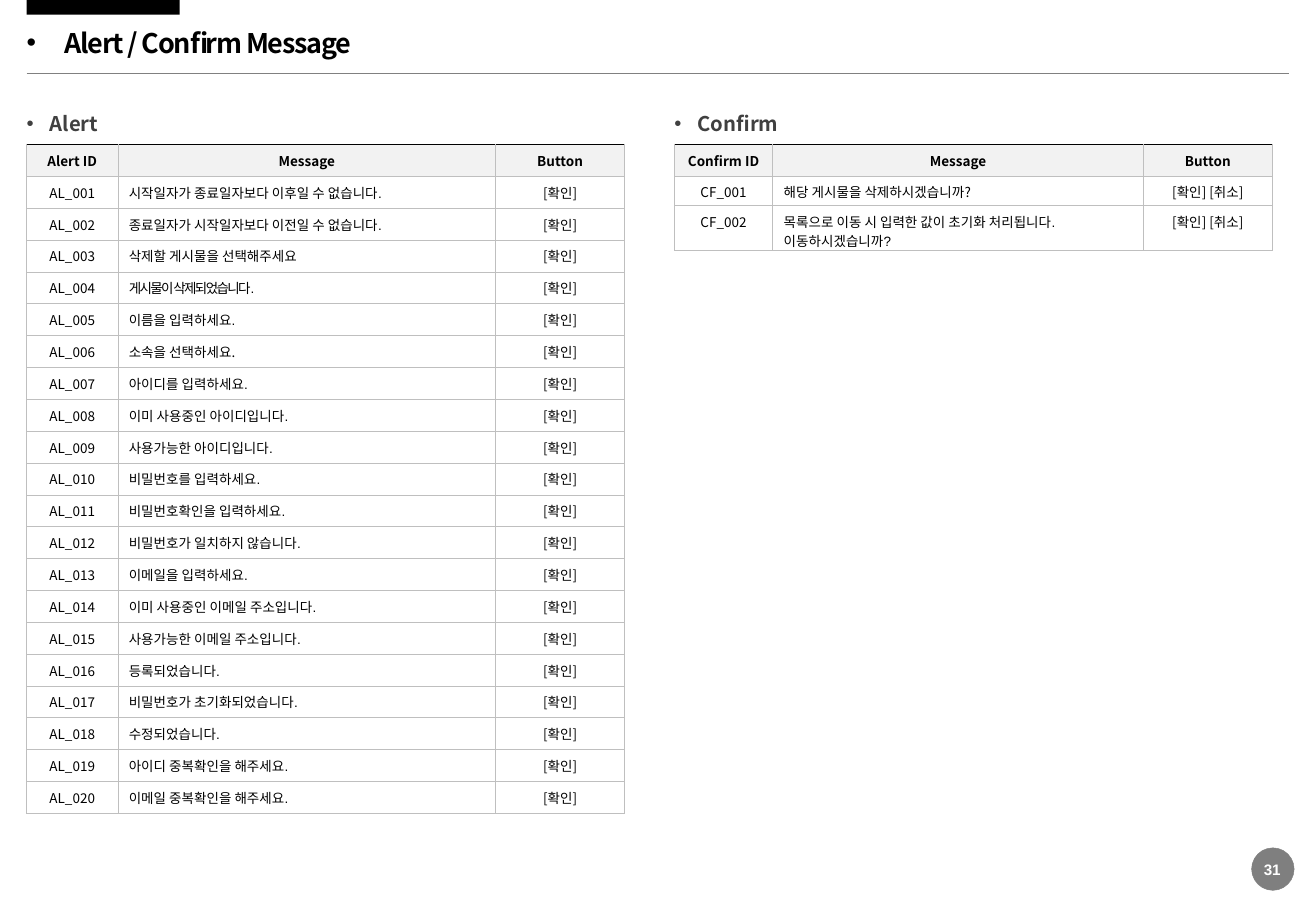
from dataclasses import dataclass

from lxml.etree import SubElement
from pptx import Presentation
from pptx.dml.color import RGBColor
from pptx.enum.shapes import MSO_CONNECTOR as Connector, MSO_SHAPE as Preset
from pptx.enum.text import MSO_ANCHOR as Anchor, MSO_AUTO_SIZE as AutoSize, PP_ALIGN as Align
from pptx.oxml.ns import qn
from pptx.util import Inches, Pt


@dataclass(frozen=True)
class Theme:
    """Colours, fonts and type sizes of the slide."""
    black: str = "000000"
    white: str = "FFFFFF"
    heading: str = "404040"
    rule: str = "808080"
    border: str = "BFBFBF"
    header_fill: str = "F2F2F2"
    font: str = "Noto Sans CJK KR"
    latin: str = "Arial"
    title_size: float = 16
    heading_size: float = 12
    page_size: float = 9
    table_size: float = 8


THEME = Theme()
OK = "[확인]"
OK_CANCEL = "[확인] [취소]"
ALERT_MESSAGES = [
    "시작일자가 종료일자보다 이후일 수 없습니다.",
    "종료일자가 시작일자보다 이전일 수 없습니다.",
    "삭제할 게시물을 선택해주세요",
    "게시물이 삭제되었습니다.",
    "이름을 입력하세요.",
    "소속을 선택하세요.",
    "아이디를 입력하세요.",
    "이미 사용중인 아이디입니다.",
    "사용가능한 아이디입니다.",
    "비밀번호를 입력하세요.",
    "비밀번호확인을 입력하세요.",
    "비밀번호가 일치하지 않습니다.",
    "이메일을 입력하세요.",
    "이미 사용중인 이메일 주소입니다.",
    "사용가능한 이메일 주소입니다.",
    "등록되었습니다.",
    "비밀번호가 초기화되었습니다.",
    "수정되었습니다.",
    "아이디 중복확인을 해주세요.",
    "이메일 중복확인을 해주세요.",
]
CONFIRM_MESSAGES = [
    "해당 게시물을 삭제하시겠습니까?",
    "목록으로 이동 시 입력한 값이 초기화 처리됩니다.\n이동하시겠습니까?",
]
PLAIN_FONT_MESSAGES = {ALERT_MESSAGES[2], ALERT_MESSAGES[5], CONFIRM_MESSAGES[0]}
TIGHT_MESSAGE = ALERT_MESSAGES[3]


def add_run(paragraph, text, size, color, bold=False, font=THEME.font, spacing=0):
    """Add one formatted run to a paragraph."""
    run = paragraph.add_run()
    run.text = text
    run.font.size = Pt(size)
    run.font.bold = bold
    run.font.name = font
    run.font.color.rgb = RGBColor.from_string(color)
    properties = run.font._element
    SubElement(properties, qn("a:ea"), typeface=THEME.font)
    if spacing:
        properties.set("spc", str(round(spacing * 100)))


def add_bullet(paragraph, indent):
    """Give a paragraph a round bullet with a hanging indent."""
    properties = paragraph._p.get_or_add_pPr()
    properties.set("marL", str(Inches(indent)))
    properties.set("indent", str(-Inches(indent)))
    SubElement(properties, qn("a:buFont"), typeface=THEME.latin)
    SubElement(properties, qn("a:buChar"), char="•")


def prepare_frame(frame, anchor, wrap=True):
    """Clear the insets of a text frame and return its first paragraph."""
    frame.margin_left = frame.margin_right = frame.margin_top = frame.margin_bottom = 0
    frame.vertical_anchor = anchor
    frame.auto_size = AutoSize.NONE
    frame.word_wrap = wrap
    return frame.paragraphs[0]


def add_title_band(slide, left, top, width):
    """Place the black tab, the slide title and the rule below it."""
    tab = slide.shapes.add_shape(Preset.RECTANGLE, Inches(left), Inches(top), Inches(1.26), Inches(0.12))
    tab.shadow.inherit = False
    tab.fill.solid()
    tab.fill.fore_color.rgb = RGBColor.from_string(THEME.black)
    tab.line.fill.background()

    rule_y = Inches(top + 0.6)
    rule = slide.shapes.add_connector(Connector.STRAIGHT, Inches(left), rule_y, Inches(left + width), rule_y)
    rule.line.color.rgb = RGBColor.from_string(THEME.rule)
    rule.line.width = Pt(0.25)
    SubElement(rule._element.spPr, qn("a:effectLst"))

    title = slide.shapes.title
    title.left, title.top = Inches(left), Inches(top + 0.21)
    title.width, title.height = Inches(6.5), Inches(0.31)
    paragraph = prepare_frame(title.text_frame, Anchor.MIDDLE)
    paragraph.alignment = Align.LEFT
    paragraph.line_spacing = 0.9
    paragraph.space_before = Pt(0)
    add_bullet(paragraph, 0.31)
    add_run(paragraph, "Alert / Confirm Message", THEME.title_size, THEME.black, True, spacing=-0.7)


def set_borders(cell, top_color, top_width):
    """Draw the four borders of a cell, with its own top border."""
    properties = cell._tc.get_or_add_tcPr()
    for side in "LRTB":
        color, width = (top_color, top_width) if side == "T" else (THEME.border, 0.5)
        line = SubElement(properties, qn(f"a:ln{side}"), w=str(Pt(width)))
        SubElement(SubElement(line, qn("a:solidFill")), qn("a:srgbClr"), val=color)


def fill_cell(cell, text, is_header, is_message):
    """Write and format one table cell."""
    if is_header:
        set_borders(cell, THEME.black, 1)
        cell.fill.solid()
        cell.fill.fore_color.rgb = RGBColor.from_string(THEME.header_fill)
    else:
        set_borders(cell, THEME.border, 0.5)
        cell.fill.background()
    cell.margin_left = cell.margin_right = Inches(0.09)
    cell.margin_top, cell.margin_bottom = Inches(0.05), 0
    cell.vertical_anchor = Anchor.TOP
    left_aligned = is_message and not is_header
    font = THEME.latin if left_aligned and text not in PLAIN_FONT_MESSAGES else THEME.font
    spacing = -1 if text == TIGHT_MESSAGE else 0
    for index, line in enumerate(text.split("\n")):
        frame = cell.text_frame
        paragraph = frame.add_paragraph() if index else frame.paragraphs[0]
        paragraph.alignment = Align.LEFT if left_aligned else Align.CENTER
        add_run(paragraph, line, THEME.table_size, THEME.black, is_header, font, spacing)


def add_message_section(slide, left, top, name, prefix, messages, button, widths, heights):
    """Place a bulleted heading with its message table below."""
    heading = slide.shapes.add_textbox(Inches(left), Inches(top), Inches(0.91), Inches(0.2))
    paragraph = prepare_frame(heading.text_frame, Anchor.TOP)
    add_bullet(paragraph, 0.19)
    add_run(paragraph, name, THEME.heading_size, THEME.heading, True)

    rows = [(f"{name} ID", "Message", "Button")]
    rows += [(f"{prefix}_{number:03}", message, button) for number, message in enumerate(messages, 1)]
    table = slide.shapes.add_table(
        len(rows), len(widths), Inches(left), Inches(top + 0.27), Inches(sum(widths)), Inches(sum(heights))
    ).table
    table.first_row = table.horz_banding = False
    for column, width in zip(table.columns, widths):
        column.width = Inches(width)
    for row_index, (row, height) in enumerate(zip(rows, heights)):
        table.rows[row_index].height = Inches(height)
        for column_index, text in enumerate(row):
            fill_cell(table.cell(row_index, column_index), text, row_index == 0, column_index == 1)


def add_page_number(slide, left, top, size, number):
    """Place the round page marker with its number."""
    circle = slide.shapes.add_shape(Preset.OVAL, Inches(left), Inches(top), Inches(size), Inches(size))
    circle.shadow.inherit = False
    circle.fill.solid()
    circle.fill.fore_color.rgb = RGBColor.from_string(THEME.black)
    color = circle._element.spPr.find(qn("a:solidFill")).find(qn("a:srgbClr"))
    SubElement(color, qn("a:alpha"), val="50000")
    circle.line.color.rgb = RGBColor.from_string(THEME.rule)
    circle.line.width = Pt(0.25)

    label = slide.shapes.add_textbox(Inches(left + 0.09), Inches(top + 0.1), Inches(0.16), Inches(0.15))
    paragraph = prepare_frame(label.text_frame, Anchor.MIDDLE, wrap=False)
    paragraph.alignment = Align.CENTER
    add_run(paragraph, str(number), THEME.page_size, THEME.white, True, THEME.latin)


def main():
    """Build the message list slide and save it."""
    presentation = Presentation()
    presentation.slide_width, presentation.slide_height = Inches(10.83), Inches(7.5)
    slide = presentation.slides.add_slide(presentation.slide_layouts[5])
    add_title_band(slide, 0.22, 0, 10.39)
    add_message_section(slide, 0.22, 0.92, "Alert", "AL", ALERT_MESSAGES, OK,
                        [0.75, 3.11, 1.06], [5.51 / 21] * 21)
    add_message_section(slide, 5.55, 0.92, "Confirm", "CF", CONFIRM_MESSAGES, OK_CANCEL,
                        [0.81, 3.05, 1.06], [0.26, 0.24, 0.36])
    add_page_number(slide, 10.3, 6.98, 0.35, 31)
    presentation.save("out.pptx")


if __name__ == "__main__":
    main()
